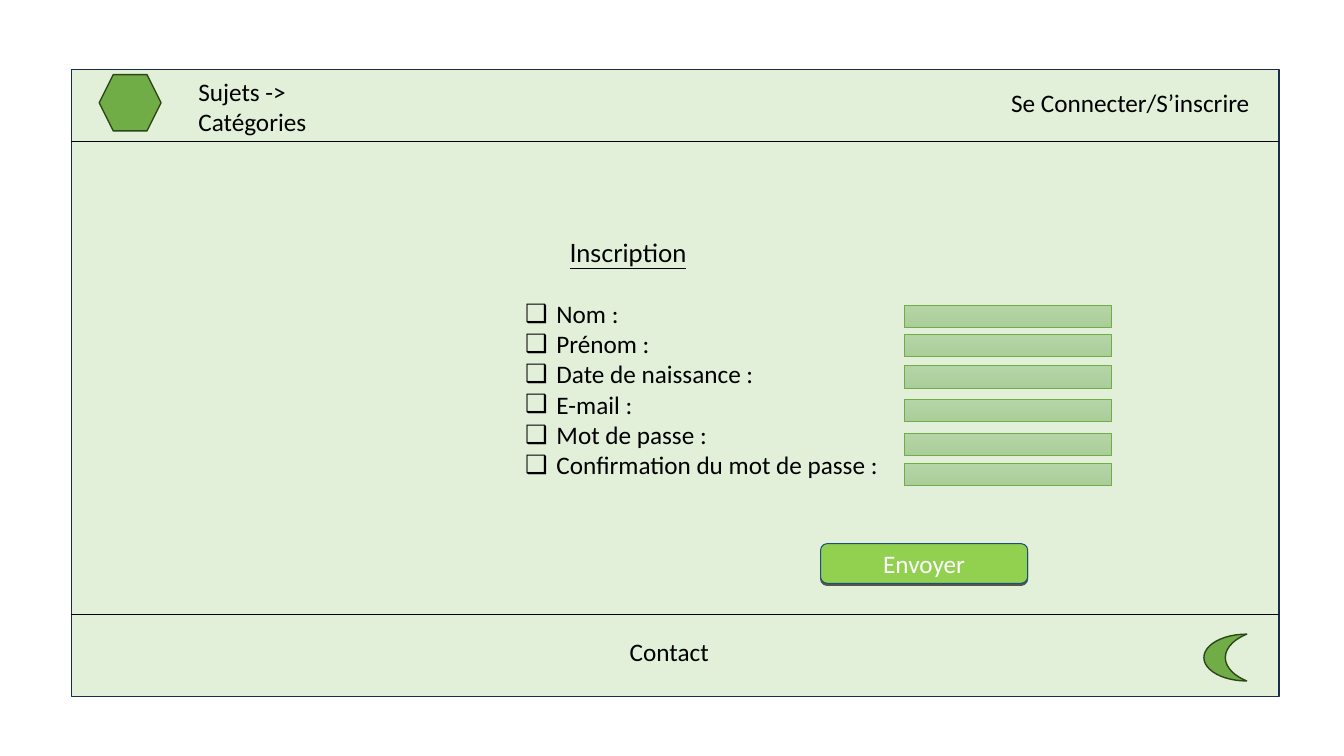
from lxml import etree
from pptx import Presentation, util as u
from pptx.dml.color import RGBColor
from pptx.enum import shapes, text
from pptx.oxml import ns

BLACK = RGBColor(0x00, 0x00, 0x00)
WHITE = RGBColor(0xFF, 0xFF, 0xFF)
PALE = RGBColor(0xE2, 0xF0, 0xD9)
NAVY = RGBColor(0x17, 0x2C, 0x51)
GREEN = RGBColor(0x70, 0xAD, 0x47)
FOREST = RGBColor(0x2B, 0x47, 0x19)
FIELD_TOP = RGBColor(0xB5, 0xD5, 0xA7)
FIELD_BOTTOM = RGBColor(0xAA, 0xCE, 0x99)
LIME = RGBColor(0x92, 0xD0, 0x50)
BLUE = RGBColor(0x1F, 0x4E, 0x79)

LABELS = ["Nom :", "Prénom :", "Date de naissance :", "E-mail :",
          "Mot de passe :", "Confirmation du mot de passe :"]
FIELD_TOPS = [7.7, 8.43, 9.22, 10.06, 10.92, 11.68]


def cm(*lengths):
    return [u.Cm(length) for length in lengths]


def add_xml(parent, tag, **attributes):
    return etree.SubElement(parent, ns.qn(tag), attributes)


def apply(target, values):
    for name, value in values.items():
        setattr(target, name, value)


class Mockup:
    """Draw the elements of a web page mock-up on one slide."""

    font = {"name": "Calibri", "size": u.Pt(18)}
    frame = {"word_wrap": True, "auto_size": text.MSO_AUTO_SIZE.NONE,
             "vertical_anchor": text.MSO_ANCHOR.TOP}

    def __init__(self, page):
        self.page = page

    def fill_text(self, box, lines, color=BLACK, align=text.PP_ALIGN.LEFT,
                  bullet=None, frame=None, **font):
        apply(box.text_frame, {**self.frame, **(frame or {})})
        box.text_frame.text = "\n".join(lines)
        for para in box.text_frame.paragraphs:
            apply(para, {"alignment": align, "space_before": u.Pt(0)})
            if bullet:
                props = para._p.get_or_add_pPr()
                props.set("marL", str(u.Cm(0.79)))
                props.set("indent", str(-u.Cm(0.79)))
                tint = add_xml(props, "a:buClr")
                add_xml(tint, "a:srgbClr", val=str(BLACK))
                add_xml(props, "a:buChar", char=bullet)
            apply(para.font, {**self.font, **font})
            para.font.color.rgb = color

    def label(self, at, line, **style):
        box = self.page.shapes.add_textbox(*cm(*at))
        self.fill_text(box, [line], **style)

    def placeholder(self, box, at, lines, **style):
        apply(box, dict(zip(("left", "top", "width", "height"), cm(*at))))
        box.element.getparent().append(box.element)
        self.fill_text(box, lines, **style)

    def shape(self, kind, at, fill, line, width=1):
        shape = self.page.shapes.add_shape(kind, *cm(*at))
        shape.shadow.inherit = False
        if isinstance(fill, list):
            shape.fill.gradient()
            shape.fill.gradient_angle = 270
            for stop, color in zip(shape.fill.gradient_stops, fill):
                stop.color.rgb = color
        else:
            shape.fill.solid()
            shape.fill.fore_color.rgb = fill
        shape.line.color.rgb = line
        shape.line.width = u.Pt(width)
        return shape

    def rule(self, left, right, top):
        line = self.page.shapes.add_connector(
            shapes.MSO_CONNECTOR.STRAIGHT, *cm(left, top, right, top))
        line.line.color.rgb = BLACK
        line.line.width = u.Pt(0.5)
        add_xml(line._element.spPr, "a:effectLst")

    def button(self, at, caption):
        button = self.shape(shapes.MSO_SHAPE.ROUNDED_RECTANGLE, at,
                            LIME, BLUE, 0.75)
        effects = button._element.spPr.find(ns.qn("a:effectLst"))
        shadow = add_xml(effects, "a:outerShdw", dist=str(u.Pt(1.5)),
                         dir="5400000", algn="ctr", rotWithShape="0")
        tint = add_xml(shadow, "a:srgbClr", val=str(BLACK))
        add_xml(tint, "a:alpha", val="63000")
        self.fill_text(button, [caption], color=WHITE,
                       align=text.PP_ALIGN.CENTER,
                       frame={"vertical_anchor": text.MSO_ANCHOR.MIDDLE})


def main():
    deck = Presentation()
    deck.slide_width, deck.slide_height = cm(33.87, 19.05)
    page = deck.slides.add_slide(deck.slide_layouts[1])
    mockup = Mockup(page)
    kinds = shapes.MSO_SHAPE

    mockup.shape(kinds.RECTANGLE, (1.8, 1.75, 30.43, 15.8), PALE, NAVY)
    for top in (3.55, 15.47):
        mockup.rule(1.8, 32.23, top)

    mockup.label((22.4, 2.08, 9.65, 1.02), "Se Connecter/S’inscrire",
                 align=text.PP_ALIGN.RIGHT, frame={"margin_right": u.Cm(0.56)})
    mockup.label((4.75, 1.8, 3.99, 1.8), "Sujets -> Catégories")
    mockup.shape(kinds.HEXAGON, (2.5, 1.88, 1.56, 1.42), GREEN, FOREST)
    mockup.shape(kinds.MOON, (30.34, 15.98, 1.08, 1.18), GREEN, FOREST)
    mockup.label((15.62, 15.9, 2.77, 1.02), "Contact")

    mockup.placeholder(page.shapes.title, (14.1, 5.84, 12.45, 1.02),
                       ["Inscription"], name="Lato", underline=True)
    mockup.placeholder(page.placeholders[1], (12.98, 7.39, 10.08, 4.88),
                       LABELS, bullet="❑")
    for top in FIELD_TOPS:
        mockup.shape(kinds.RECTANGLE, (22.78, top, 5.22, 0.56),
                     [FIELD_TOP, FIELD_BOTTOM], GREEN, 0.5)
    mockup.button((20.68, 13.7, 5.22, 1), "Envoyer")

    deck.save("out.pptx")


if __name__ == "__main__":
    main()
